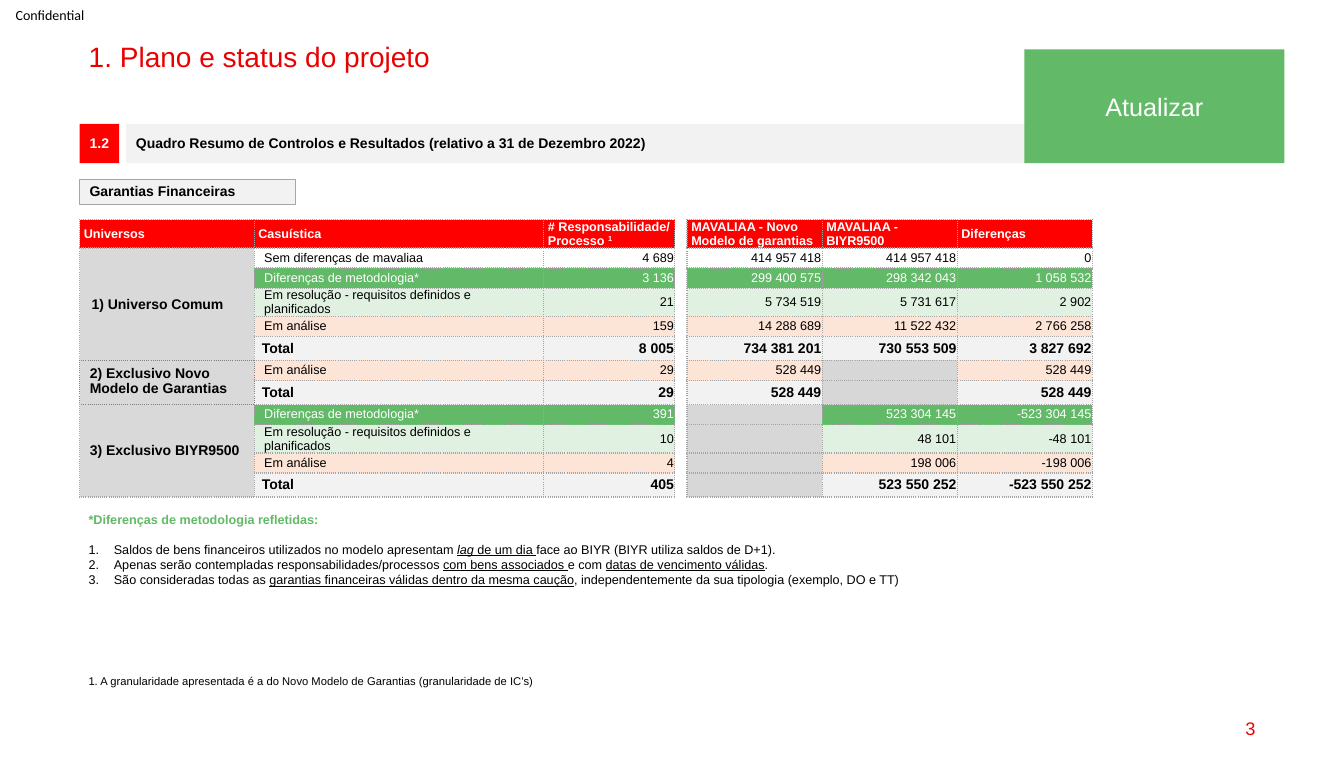
"""Build the slide on the status of the financial guarantees project."""
from dataclasses import dataclass
from typing import Optional

import lxml.etree
import pptx
import pptx.dml.color
import pptx.enum.shapes
import pptx.enum.text
import pptx.oxml.ns
import pptx.util

Align = pptx.enum.text.PP_ALIGN
Anchor = pptx.enum.text.MSO_ANCHOR
qn = pptx.oxml.ns.qn

COLORS = {
    "title": "EB0000", "red": "FF0000", "green": "62B967", "pale_green": "E0F1E1",
    "peach": "FCE4D6", "light": "F2F2F2", "group": "D9D9D9", "unused": "D7D7D7",
    "border": "A6A6A6", "group_border": "808080", "white": "FFFFFF", "black": "000000",
}
SLIDE_WIDTH = pptx.util.Inches(13.33)
SLIDE_HEIGHT = pptx.util.Inches(7.76)
COLUMN_SHARES = (12.98, 21.55, 9.75, 0.87, 10.05, 10.05, 10.05)
HEADER_SHARE, DETAIL_SHARE, TOTAL_SHARE = 3.37, 2.57, 3.07
GAP_COLUMN = 3
HEADERS = (("Universos",), ("Casuística",), ("# Responsabilidade/", "Processo "), (),
           ("MAVALIAA - Novo Modelo de garantias",), ("MAVALIAA - BIYR9500",), ("Diferenças",))


@dataclass(frozen=True)
class Style:
    size: float
    color: str = "black"
    bold: bool = False
    font: str = "Arial"


@dataclass(frozen=True)
class Run:
    text: str
    underline: bool = False
    italic: bool = False


@dataclass(frozen=True)
class Box:
    """Place as shares of the slide, with text and look."""
    left: float
    top: float
    width: float
    height: float
    text: str
    style: Style
    fill: Optional[str] = None
    line: Optional[str] = None
    align: Align = Align.LEFT
    anchor: Anchor = Anchor.MIDDLE
    spacing: float = 1.0
    wrap: bool = True


@dataclass(frozen=True)
class Case:
    label: str
    fill: Optional[str]
    values: tuple[str, str, str, str]
    color: str = "black"


@dataclass(frozen=True)
class Universe:
    name: str
    inset: float
    anchor: Anchor
    cases: tuple[Case, ...]
    dark_sides: str


def methodology(*values: str) -> Case:
    return Case("Diferenças de metodologia*", "green", values, "white")


def resolution(*values: str) -> Case:
    return Case("Em resolução - requisitos definidos e planificados", "pale_green", values)


def analysis(*values: str) -> Case:
    return Case("Em análise", "peach", values)


def total(*values: str) -> Case:
    return Case("Total", "light", values)


UNIVERSES = (
    Universe("1) Universo Comum", 8.5, Anchor.MIDDLE, (
        Case("Sem diferenças de mavaliaa", None, ("4 689", "414 957 418", "414 957 418", "0")),
        methodology("3 136", "299 400 575", "298 342 043", "1 058 532"),
        resolution("21", "5 734 519", "5 731 617", "2 902"),
        analysis("159", "14 288 689", "11 522 432", "2 766 258"),
        total("8 005", "734 381 201", "730 553 509", "3 827 692")), "B"),
    Universe("2) Exclusivo Novo Modelo de Garantias", 7.2, Anchor.TOP, (
        analysis("29", "528 449", "", "528 449"),
        total("29", "528 449", "", "528 449")), "LRTB"),
    Universe("3) Exclusivo BIYR9500", 7.2, Anchor.MIDDLE, (
        methodology("391", "", "523 304 145", "-523 304 145"),
        resolution("10", "", "48 101", "-48 101"),
        analysis("4", "", "198 006", "-198 006"),
        total("405", "", "523 550 252", "-523 550 252")), "T"),
)
TITLE = Box(5.85, 4.9, 88.3, 4.38, "1. Plano e status do projeto", Style(20, "title"),
            anchor=Anchor.TOP, spacing=0.9)
LABELS = (
    Box(0, 0, 7.43, 3.74, "Confidential", Style(10, font="Calibri"), align=Align.CENTER),
    Box(71.64, 90.46, 22.51, 5.28, "3", Style(13, "title"), align=Align.RIGHT),
    Box(5.93, 15.85, 2.93, 5.03, "1.2", Style(10, "white", True), "red",
        align=Align.CENTER, spacing=0.9),
    Box(9.38, 15.85, 78.09, 5.03,
        "Quadro Resumo de Controlos e Resultados (relativo a 31 de Dezembro 2022)",
        Style(10, bold=True), "light", spacing=0.9),
    Box(5.93, 22.94, 16.05, 3.22, "Garantias Financeiras", Style(10, bold=True),
        "light", "border", spacing=0.9),
    Box(5.85, 85.57, 35.63, 3.09,
        "1. A granularidade apresentada é a do Novo Modelo de Garantias (granularidade de IC’s)",
        Style(8), anchor=Anchor.TOP, wrap=False),
    Box(76.22, 6.31, 19.35, 14.56, "Atualizar", Style(18, "white"), "green", align=Align.CENTER),
)
NOTES_HEADING = Box(5.85, 64.82, 79.14, 19.33, "*Diferenças de metodologia refletidas:",
                    Style(9, "green", True), anchor=Anchor.TOP)
NOTES = (
    (Run("Saldos de bens financeiros utilizados no modelo apresentam "), Run("lag", True, True),
     Run(" de um dia ", True), Run("face ao BIYR (BIYR utiliza saldos de D+1).")),
    (Run("Apenas serão contempladas responsabilidades/processos "),
     Run("com bens associados ", True), Run("e com "),
     Run("datas de vencimento válidas", True), Run(".")),
    (Run("São consideradas todas as "),
     Run("garantias financeiras válidas dentro da mesma caução", True),
     Run(", independentemente da sua tipologia (exemplo, DO e TT)")),
)


def across(share: float) -> int:
    return round(SLIDE_WIDTH * share / 100)


def down(share: float) -> int:
    return round(SLIDE_HEIGHT * share / 100)


def rgb(name: str) -> pptx.dml.color.RGBColor:
    return pptx.dml.color.RGBColor.from_string(COLORS[name])


def add_run(paragraph, part: Run, style: Style):
    run = paragraph.add_run()
    run.text = part.text
    run.font.name, run.font.size, run.font.bold = style.font, pptx.util.Pt(style.size), style.bold
    run.font.color.rgb = rgb(style.color)
    run.font.italic, run.font.underline = part.italic, part.underline
    return run


def fill_box(shape, box: Box) -> None:
    shape.left, shape.top = across(box.left), down(box.top)
    shape.width, shape.height = across(box.width), down(box.height)
    frame = shape.text_frame
    frame.word_wrap, frame.vertical_anchor = box.wrap, box.anchor
    frame.auto_size = pptx.enum.text.MSO_AUTO_SIZE.NONE
    paragraph = frame.paragraphs[0]
    paragraph.alignment, paragraph.line_spacing = box.align, box.spacing
    paragraph.space_before = pptx.util.Pt(0)
    add_run(paragraph, Run(box.text), box.style)


def add_box(slide, box: Box):
    place = across(box.left), down(box.top), across(box.width), down(box.height)
    if box.fill is None:
        shape = slide.shapes.add_textbox(*place)
    else:
        shape = slide.shapes.add_shape(pptx.enum.shapes.MSO_SHAPE.RECTANGLE, *place)
        shape.shadow.inherit = False
        shape.fill.solid()
        shape.fill.fore_color.rgb = rgb(box.fill)
        if box.line:
            shape.line.color.rgb, shape.line.width = rgb(box.line), pptx.util.Pt(0.75)
        else:
            shape.line.fill.background()
    fill_box(shape, box)
    return shape


def add_notes(slide) -> None:
    frame = add_box(slide, NOTES_HEADING).text_frame
    indent = across(1.88)
    for number, parts in enumerate(NOTES):
        paragraph = frame.add_paragraph()
        properties = paragraph._p.get_or_add_pPr()
        properties.set("marL", str(indent))
        properties.set("indent", str(-indent))
        lxml.etree.SubElement(properties, qn("a:buFont"), typeface="+mj-lt")
        lxml.etree.SubElement(properties, qn("a:buAutoNum"), type="arabicPeriod")
        paragraph.space_before = pptx.util.Pt(0 if number else 10.5)
        for part in parts:
            add_run(paragraph, part, Style(9))


def set_cell(cell, lines: tuple[str, ...], style: Style, fill: Optional[str], inset: float = 0.7,
             align: Align = Align.LEFT, anchor: Anchor = Anchor.MIDDLE,
             sides: str = "LRTB", dark_sides: str = "") -> None:
    properties = cell._tc.get_or_add_tcPr()
    for side in "LRTB":
        line = lxml.etree.SubElement(properties, qn(f"a:ln{side}"), w=str(pptx.util.Pt(1)))
        if side in sides:
            solid = lxml.etree.SubElement(line, qn("a:solidFill"))
            color = COLORS["group_border" if side in dark_sides else "border"]
            lxml.etree.SubElement(solid, qn("a:srgbClr"), val=color)
            lxml.etree.SubElement(line, qn("a:prstDash"), val="sysDot")
        else:
            lxml.etree.SubElement(line, qn("a:noFill"))
    if fill:
        cell.fill.solid()
        cell.fill.fore_color.rgb = rgb(fill)
    else:
        cell.fill.background()
    cell.margin_left, cell.margin_right = pptx.util.Pt(inset), pptx.util.Pt(min(inset, 3))
    cell.margin_top = pptx.util.Pt(3.6 if anchor == Anchor.TOP else 0)
    cell.margin_bottom, cell.vertical_anchor = 0, anchor
    for number, text in enumerate(lines or ("",)):
        paragraph = cell.text_frame.add_paragraph() if number else cell.text_frame.paragraphs[0]
        paragraph.alignment = align
        if text:
            add_run(paragraph, Run(text), style)
        else:
            lxml.etree.SubElement(paragraph._p, qn("a:endParaRPr"), sz=str(style.size * 100))


def add_case(table, row: int, universe: Universe, case: Case) -> None:
    is_total = case.label == "Total"
    style = Style(10 if is_total else 9, case.color, is_total)
    dark = "L" if universe.dark_sides == "LRTB" else ""
    set_cell(table.cell(row, 1), (case.label,), style, case.fill,
             5.5 if is_total else 7.2, dark_sides=dark)
    set_cell(table.cell(row, GAP_COLUMN), (), style, None, sides="LR")
    for column, value in zip((2, 4, 5, 6), case.values):
        set_cell(table.cell(row, column), (value,), style, case.fill if value else "unused",
                 align=Align.RIGHT)


def add_summary(slide) -> None:
    cases = [case for universe in UNIVERSES for case in universe.cases]
    shares = [HEADER_SHARE] + [TOTAL_SHARE if case.label == "Total" else DETAIL_SHARE
                               for case in cases]
    table = slide.shapes.add_table(len(shares), len(COLUMN_SHARES), across(5.93), down(28.09),
                                   across(sum(COLUMN_SHARES)), down(sum(shares))).table
    table.first_row = table.horz_banding = False
    for column, share in zip(table.columns, COLUMN_SHARES):
        column.width = across(share)
    for row, share in zip(table.rows, shares):
        row.height = down(share)
    header_style = Style(9, "white", True)
    for column, lines in enumerate(HEADERS):
        is_gap = column == GAP_COLUMN
        set_cell(table.cell(0, column), lines, header_style, None if is_gap else "red", 3,
                 sides="LR" if is_gap else "LRTB")
    marker = add_run(table.cell(0, 2).text_frame.paragraphs[1], Run("1"), header_style)
    marker.font._element.set("baseline", "30000")
    row = 1
    for universe in UNIVERSES:
        last = row + len(universe.cases) - 1
        table.cell(row, 0).merge(table.cell(last, 0))
        set_cell(table.cell(row, 0), (universe.name,), Style(10, bold=True), "group",
                 universe.inset, anchor=universe.anchor, dark_sides=universe.dark_sides)
        for number, case in enumerate(universe.cases):
            add_case(table, row + number, universe, case)
        row = last + 1


def main() -> None:
    presentation = pptx.Presentation()
    presentation.slide_width, presentation.slide_height = SLIDE_WIDTH, SLIDE_HEIGHT
    slide = presentation.slides.add_slide(presentation.slide_layouts[5])
    fill_box(slide.shapes.title, TITLE)
    for label in LABELS:
        add_box(slide, label)
    add_summary(slide)
    add_notes(slide)
    presentation.save("out.pptx")


if __name__ == "__main__":
    main()
